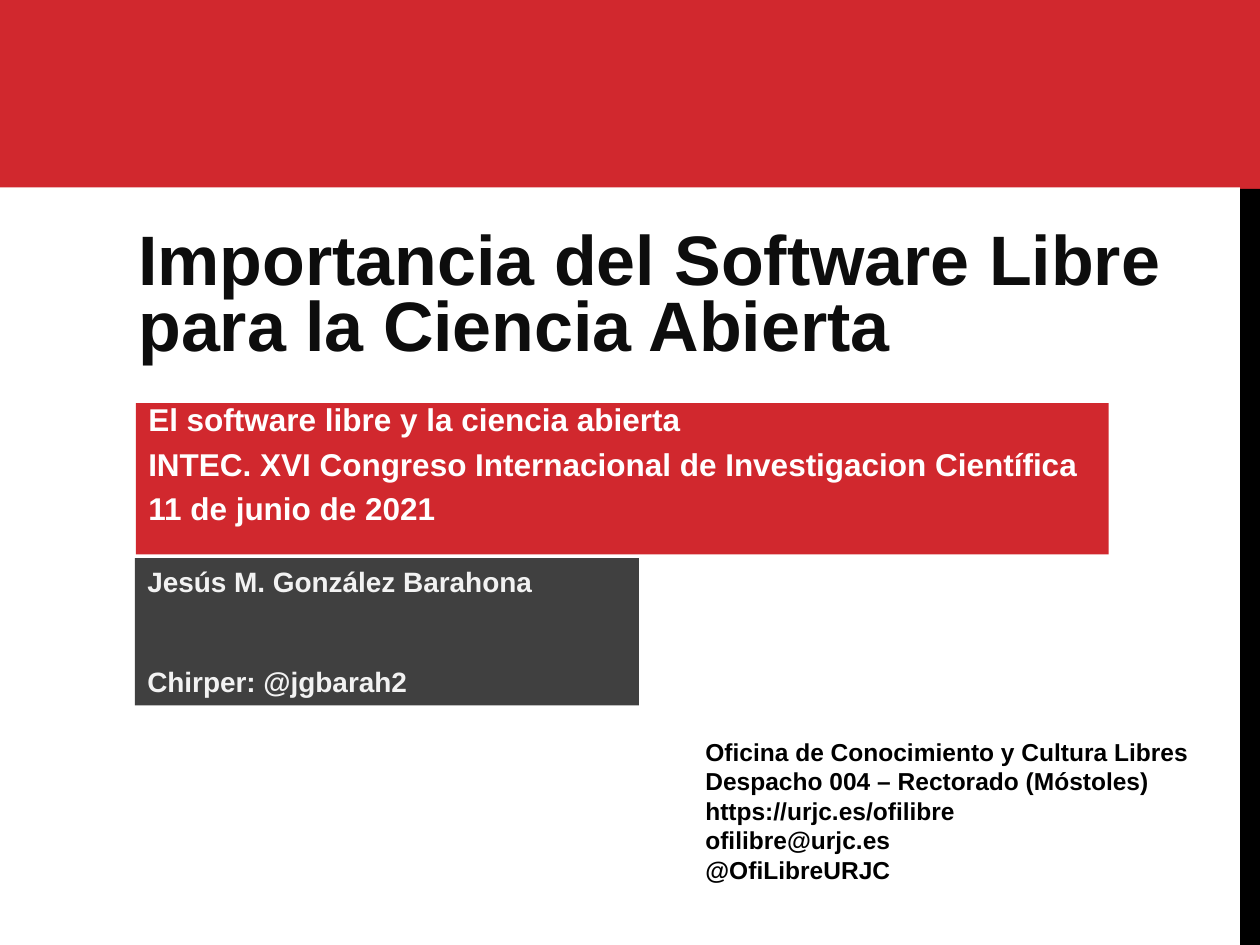
"""Build the opening slide of a talk on free software and open science."""
from dataclasses import dataclass

from pptx import Presentation
from pptx import util as u
from pptx.dml.color import RGBColor
from pptx.enum import shapes, text


@dataclass(frozen=True)
class Theme:
    font: str = "Arial"
    red: str = "D1282E"
    black: str = "000000"
    charcoal: str = "404040"
    ink: str = "0D0D0D"
    white: str = "FFFFFF"
    pale: str = "F2F2F2"
    title: int = 40
    event: int = 18
    author: int = 16
    contact: int = 14


THEME = Theme()
PAGE_SIZE = (25.4, 19.05)
BANDS = [
    ((0, 0, 25.4, 3.78), THEME.red),
    ((25, 0, 0.4, 3.81), THEME.red),
    ((25, 3.81, 0.4, 15.24), THEME.black),
]
BLOCKS = [
    dict(at=(13.97, 14.73, 10.52, 3.28), size=THEME.contact, color=THEME.black,
         lines=["Oficina de Conocimiento y Cultura Libres",
                "Despacho 004 – Rectorado (Móstoles)",
                "https://urjc.es/ofilibre",
                "ofilibre@urjc.es",
                "@OfiLibreURJC"]),
    dict(at=(2.72, 11.25, 10.16, 2.97), size=THEME.author, color=THEME.pale,
         fill=THEME.charcoal, before=32, after=6,
         lines=["Jesús M. González Barahona", "Chirper: @jgbarah2"]),
    dict(at=(2.54, 3.05, 21.34, 5.77), size=THEME.title, color=THEME.ink,
         spacing=38, bottom=1.45,
         lines=["Importancia del Software Libre para la Ciencia Abierta"]),
    dict(at=(2.74, 8.13, 19.61, 3.05), size=THEME.event, color=THEME.white,
         fill=THEME.red, spacing=16.1, after=9.5,
         lines=["El software libre y la ciencia abierta",
                "INTEC. XVI Congreso Internacional de Investigacion Científica",
                "11 de junio de 2021"]),
]


def add_panel(page, at, color):
    panel = page.shapes.add_shape(shapes.MSO_SHAPE.RECTANGLE, *map(u.Cm, at))
    panel.shadow.inherit = False
    panel.fill.solid()
    panel.fill.fore_color.rgb = RGBColor.from_string(color)
    panel.line.fill.background()
    return panel


def add_block(page, at, size, color, lines, fill=None, spacing=None,
              before=0, after=0, bottom=None):
    box = add_panel(page, at, fill) if fill else page.shapes.add_textbox(*map(u.Cm, at))
    frame = box.text_frame
    frame.word_wrap = True
    frame.vertical_anchor = text.MSO_ANCHOR.TOP
    if bottom is not None:
        frame.vertical_anchor = text.MSO_ANCHOR.BOTTOM
        frame.margin_bottom = u.Cm(bottom)
    for index, line in enumerate(lines):
        para = frame.add_paragraph() if index else frame.paragraphs[0]
        para.alignment = text.PP_ALIGN.LEFT
        if index and before:
            para.space_before = u.Pt(before)
        para.space_after = u.Pt(after)
        if spacing:
            para.line_spacing = u.Pt(spacing)
        span = para.add_run()
        span.text = line
        span.font.name = THEME.font
        span.font.size = u.Pt(size)
        span.font.bold = True
        span.font.color.rgb = RGBColor.from_string(color)


def main():
    deck = Presentation()
    deck.slide_width, deck.slide_height = map(u.Cm, PAGE_SIZE)
    page = deck.slides.add_slide(deck.slide_layouts[6])
    for at, color in BANDS:
        add_panel(page, at, color)
    for block in BLOCKS:
        add_block(page, **block)
    deck.save("out.pptx")


if __name__ == "__main__":
    main()
